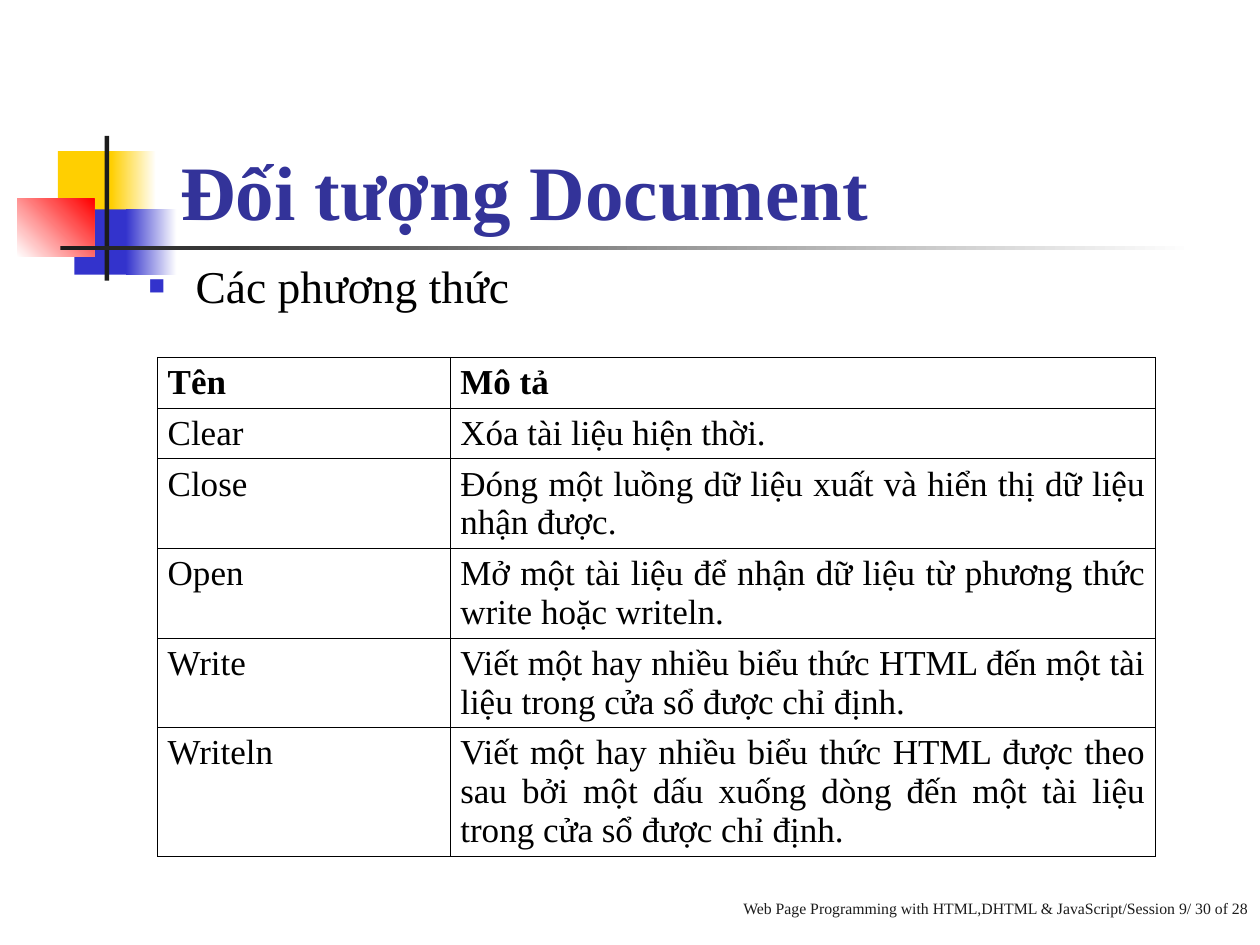
from lxml.etree import SubElement
from pptx import Presentation
from pptx.dml.color import RGBColor
from pptx.enum.shapes import MSO_SHAPE
from pptx.enum.text import MSO_ANCHOR, MSO_AUTO_SIZE, PP_ALIGN
from pptx.oxml.ns import qn
from pptx.util import Cm, Pt

FONT = "Times New Roman"
WHITE = RGBColor(0xFF, 0xFF, 0xFF)
BLACK = RGBColor(0x00, 0x00, 0x00)
DARK = RGBColor(0x1C, 0x1C, 0x1C)
YELLOW = RGBColor(0xFF, 0xCF, 0x01)
BLUE = RGBColor(0x33, 0x33, 0xCC)
RED = RGBColor(0xFF, 0x00, 0x00)
NAVY = RGBColor(0x33, 0x33, 0x99)


def write(tf, text, size, color=BLACK, bold=False, align=PP_ALIGN.LEFT, anchor=MSO_ANCHOR.TOP):
    tf.word_wrap = True
    tf.vertical_anchor = anchor
    p = tf.paragraphs[0]
    p.alignment = align
    r = p.add_run()
    r.text = text
    r.font.name = FONT
    r.font.size = Pt(size)
    r.font.bold = bold
    r.font.color.rgb = color
    return p


prs = Presentation()
prs.slide_width, prs.slide_height = Cm(25.4), Cm(19.05)
s = prs.slides.add_slide(prs.slide_layouts[1])

blocks = [
    (1.17, 3.05, 1.22, 1.32, [YELLOW], 0),
    (2.24, 3.05, 0.91, 1.32, [YELLOW, WHITE], 0),
    (1.5, 4.22, 1.17, 1.32, [BLUE], 0),
    (2.54, 4.22, 1.02, 1.32, [BLUE, WHITE], 0),
    (0.35, 4.01, 1.55, 1.17, [WHITE, RED], 45),
    (2.11, 2.74, 0.09, 2.92, [DARK], 0),
    (1.22, 4.95, 22.86, 0.09, [DARK, WHITE], 0),
]
for x, y, w, h, colors, angle in blocks:
    sp = s.shapes.add_shape(MSO_SHAPE.RECTANGLE, Cm(x), Cm(y), Cm(w), Cm(h))
    sp.shadow.inherit = False
    sp.line.fill.background()
    if len(colors) == 1:
        sp.fill.solid()
        sp.fill.fore_color.rgb = colors[0]
    else:
        sp.fill.gradient()
        sp.fill.gradient_angle = angle
        for i, stop in enumerate(sp.fill.gradient_stops):
            stop.position = i
            stop.color.rgb = colors[i]

title = s.shapes.title
title.left, title.top, title.width, title.height = Cm(3.38), Cm(1.7), Cm(21.16), Cm(3.18)
title.text_frame.auto_size = MSO_AUTO_SIZE.NONE
write(title.text_frame, "Đối tượng Document", 44, NAVY, bold=True, anchor=MSO_ANCHOR.BOTTOM)

body = s.placeholders[1]
body.left, body.top, body.width, body.height = Cm(2.74), Cm(5.08), Cm(21.16), Cm(1.47)
body.text_frame.auto_size = MSO_AUTO_SIZE.NONE
p = write(body.text_frame, "Các phương thức", 26, align=PP_ALIGN.JUSTIFY)
p.space_before = Pt(6.5)
pPr = p._p.get_or_add_pPr()
pPr.set("marL", str(Cm(0.95)))
pPr.set("indent", str(-Cm(0.95)))
SubElement(SubElement(pPr, qn("a:buClr")), qn("a:srgbClr"), val=str(BLUE))
SubElement(pPr, qn("a:buSzPct"), val="60000")
SubElement(pPr, qn("a:buFont"), typeface=FONT)
SubElement(pPr, qn("a:buChar"), char="■")

rows = [
    ("Tên", "Mô tả", 1),
    ("Clear", "Xóa tài liệu hiện thời.", 1),
    ("Close", "Đóng một luồng dữ liệu xuất và hiển thị dữ liệu nhận được.", 2),
    ("Open", "Mở một tài liệu để nhận dữ liệu từ phương thức write hoặc writeln.", 2),
    ("Write", "Viết một hay nhiều biểu thức HTML đến một tài liệu trong cửa sổ được chỉ định.", 2),
    ("Writeln", "Viết một hay nhiều biểu thức HTML được theo sau bởi một dấu xuống dòng "
     "đến một tài liệu trong cửa sổ được chỉ định.", 3),
]
table = s.shapes.add_table(len(rows), 2, Cm(3.18), Cm(7.2), Cm(20.11), Cm(9.31)).table
table.horz_banding = False
table.columns[0].width, table.columns[1].width = Cm(5.9), Cm(14.21)
for i, (name, description, lines) in enumerate(rows):
    table.rows[i].height = Cm(0.85 * lines)
    for j, text in enumerate((name, description)):
        cell = table.cell(i, j)
        cell.margin_left = cell.margin_right = Cm(0.2)
        cell.margin_top = cell.margin_bottom = Cm(0.12)
        write(cell.text_frame, text, 20, bold=i == 0, align=PP_ALIGN.JUSTIFY)
        tcPr = cell._tc.get_or_add_tcPr()
        for side in ("lnL", "lnR", "lnT", "lnB"):
            ln = SubElement(tcPr, qn(f"a:{side}"), w=str(Pt(0.45)))
            SubElement(SubElement(ln, qn("a:solidFill")), qn("a:srgbClr"), val=str(BLACK))
        cell.fill.background()

footer = s.shapes.add_textbox(Cm(14.17), Cm(17.35), Cm(11.23), Cm(1.27))
write(footer.text_frame, "Web Page Programming with HTML,DHTML & JavaScript/Session 9/ 30 of 28",
      9, DARK, align=PP_ALIGN.RIGHT, anchor=MSO_ANCHOR.BOTTOM)

prs.save("out.pptx")
